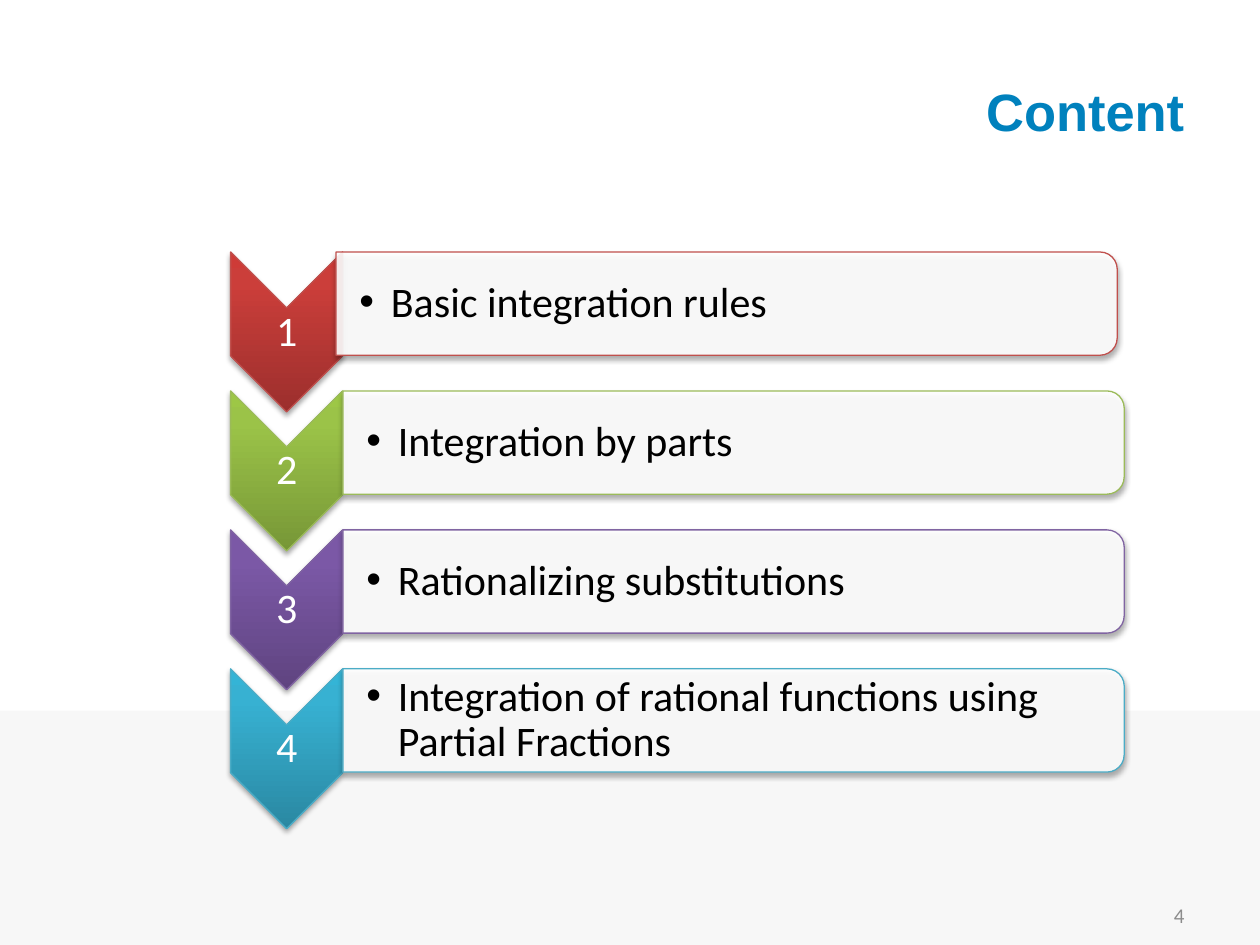
from lxml import etree
from pptx import Presentation
from pptx.dml.color import RGBColor
from pptx.enum.shapes import MSO_SHAPE
from pptx.enum.text import MSO_ANCHOR, PP_ALIGN
from pptx.oxml import parse_xml
from pptx.oxml.ns import nsdecls, qn
from pptx.util import Pt

# Colours
WHITE = RGBColor(0xFF, 0xFF, 0xFF)
BLACK = RGBColor(0, 0, 0)
BAND_GREY = RGBColor(0xF7, 0xF7, 0xF7)
NUMBER_GREY = RGBColor(0x8C, 0x8C, 0x8C)
TITLE_BLUE = RGBColor(0x00, 0x81, 0xBD)
RED = RGBColor(0xC0, 0x50, 0x4D)
GREEN = RGBColor(0x9B, 0xBB, 0x59)
PURPLE = RGBColor(0x80, 0x64, 0xA2)
AQUA = RGBColor(0x4B, 0xAC, 0xC6)

# Content: text, outline, gradient from bottom to top, card left
TITLE = "Content"
PAGE_NUMBER = "4"
TOPICS = [
    ("Basic integration rules", RED, ("9C2F2D", "CB3E3A", "CE3B37"), 192),
    ("Integration by parts", GREEN, ("779737", "9BC348", "9DC746"), 196),
    ("Rationalizing substitutions", PURPLE, ("5F4480", "7B58A6", "7C57A8"), 196),
    ("Integration of rational functions using Partial Fractions", AQUA,
     ("2A88A2", "37B1D2", "34B4D6"), 196),
]

# Layout in points
ROW_TOP, ROW_PITCH = 144, 79.4
CARD_WIDTH, CARD_HEIGHT = 446.4, 59
CHEVRON_LEFT, CHEVRON_WIDTH, CHEVRON_HEIGHT = 131.8, 64, 91.4
INSET = 1.5


def add_turned_shape(page, kind, left, top, width, height, outline):
    """Place a shape turned by 90 degrees so that it covers the given area."""
    shift = (width - height) / 2
    shape = page.shapes.add_shape(
        kind, Pt(left + shift), Pt(top - shift), Pt(height), Pt(width))
    shape.rotation = 90
    shape.line.color.rgb = outline
    shape.line.width = Pt(0.75)
    shape.shadow.inherit = False
    effects = shape._element.spPr.find(qn("a:effectLst"))
    effects.append(parse_xml(
        f'<a:outerShdw {nsdecls("a")} blurRad="{Pt(3.1)}" dist="{Pt(1.8)}" '
        'dir="5400000" rotWithShape="0"><a:srgbClr val="000000">'
        '<a:alpha val="35000"/></a:srgbClr></a:outerShdw>'))
    return shape


def fill_gradient(shape, colours):
    shape.fill.gradient()
    stops = "".join(
        f'<a:gs pos="{position}"><a:srgbClr val="{colour}"/></a:gs>'
        for position, colour in zip((0, 80000, 100000), colours))
    properties = shape._element.spPr
    properties.replace(properties.find(qn("a:gradFill")), parse_xml(
        f'<a:gradFill {nsdecls("a")} rotWithShape="0"><a:gsLst>{stops}</a:gsLst>'
        '<a:lin ang="16200000" scaled="0"/></a:gradFill>'))


def set_text(frame, text, size, colour, align, font="Calibri", bold=False):
    frame.word_wrap = True
    frame.vertical_anchor = MSO_ANCHOR.MIDDLE
    para = frame.paragraphs[0]
    para.alignment = align
    span = para.add_run()
    span.text = text
    span.font.name = font
    span.font.size = Pt(size)
    span.font.bold = bold
    span.font.color.rgb = colour
    return para


def add_label(page, area, text, colour, align, left_inset=INSET):
    box = page.shapes.add_textbox(*(Pt(length) for length in area))
    frame = box.text_frame
    frame.margin_left = Pt(left_inset)
    frame.margin_top = frame.margin_right = frame.margin_bottom = Pt(INSET)
    para = set_text(frame, text, 24, colour, align)
    para.line_spacing = 0.9
    return para


def add_bullet(para):
    properties = para._p.get_or_add_pPr()
    properties.set("marL", str(Pt(18)))
    properties.set("indent", str(Pt(-18)))
    etree.SubElement(properties, qn("a:buFont")).set("typeface", "Arial")
    etree.SubElement(properties, qn("a:buChar")).set("char", "•")


def add_topic(page, index, text, outline, gradient, card_left):
    top = ROW_TOP + index * ROW_PITCH
    # Numbered chevron
    chevron = add_turned_shape(page, MSO_SHAPE.CHEVRON, CHEVRON_LEFT, top,
                               CHEVRON_WIDTH, CHEVRON_HEIGHT, outline)
    fill_gradient(chevron, gradient)
    add_label(page, (CHEVRON_LEFT, top + 32.2, CHEVRON_WIDTH, 27.4),
              str(index + 1), WHITE, PP_ALIGN.CENTER)
    # Card with its bullet
    card = add_turned_shape(page, MSO_SHAPE.ROUND_2_SAME_RECTANGLE, card_left, top,
                            CARD_WIDTH, CARD_HEIGHT, outline)
    card.fill.solid()
    card.fill.fore_color.rgb = WHITE
    colour = card._element.spPr.find(qn("a:solidFill")).find(qn("a:srgbClr"))
    etree.SubElement(colour, qn("a:alpha")).set("val", "90000")
    bullet = add_label(page, (card_left, top + 2.9, CARD_WIDTH - 2.9, CARD_HEIGHT - 5.8),
                       text, BLACK, PP_ALIGN.LEFT, left_inset=13.4)
    add_bullet(bullet)


def main():
    deck = Presentation()
    deck.slide_width, deck.slide_height = Pt(720), Pt(540)
    page = deck.slides.add_slide(deck.slide_layouts[5])

    # Bottom band
    band = page.shapes.add_shape(MSO_SHAPE.RECTANGLE, Pt(0), Pt(406), Pt(720), Pt(134))
    band.fill.solid()
    band.fill.fore_color.rgb = BAND_GREY
    band.line.fill.background()
    band.shadow.inherit = False

    # Title and page number
    title = page.shapes.title
    title.left, title.top, title.width, title.height = Pt(36), Pt(18), Pt(648), Pt(90)
    set_text(title.text_frame, TITLE, 30, TITLE_BLUE, PP_ALIGN.RIGHT, "Arial", True)
    number = page.shapes.add_textbox(Pt(516), Pt(508.5), Pt(168), Pt(28.75))
    set_text(number.text_frame, PAGE_NUMBER, 12, NUMBER_GREY, PP_ALIGN.RIGHT)

    # Topics
    for index, topic in enumerate(TOPICS):
        add_topic(page, index, *topic)

    deck.save("out.pptx")


if __name__ == "__main__":
    main()
